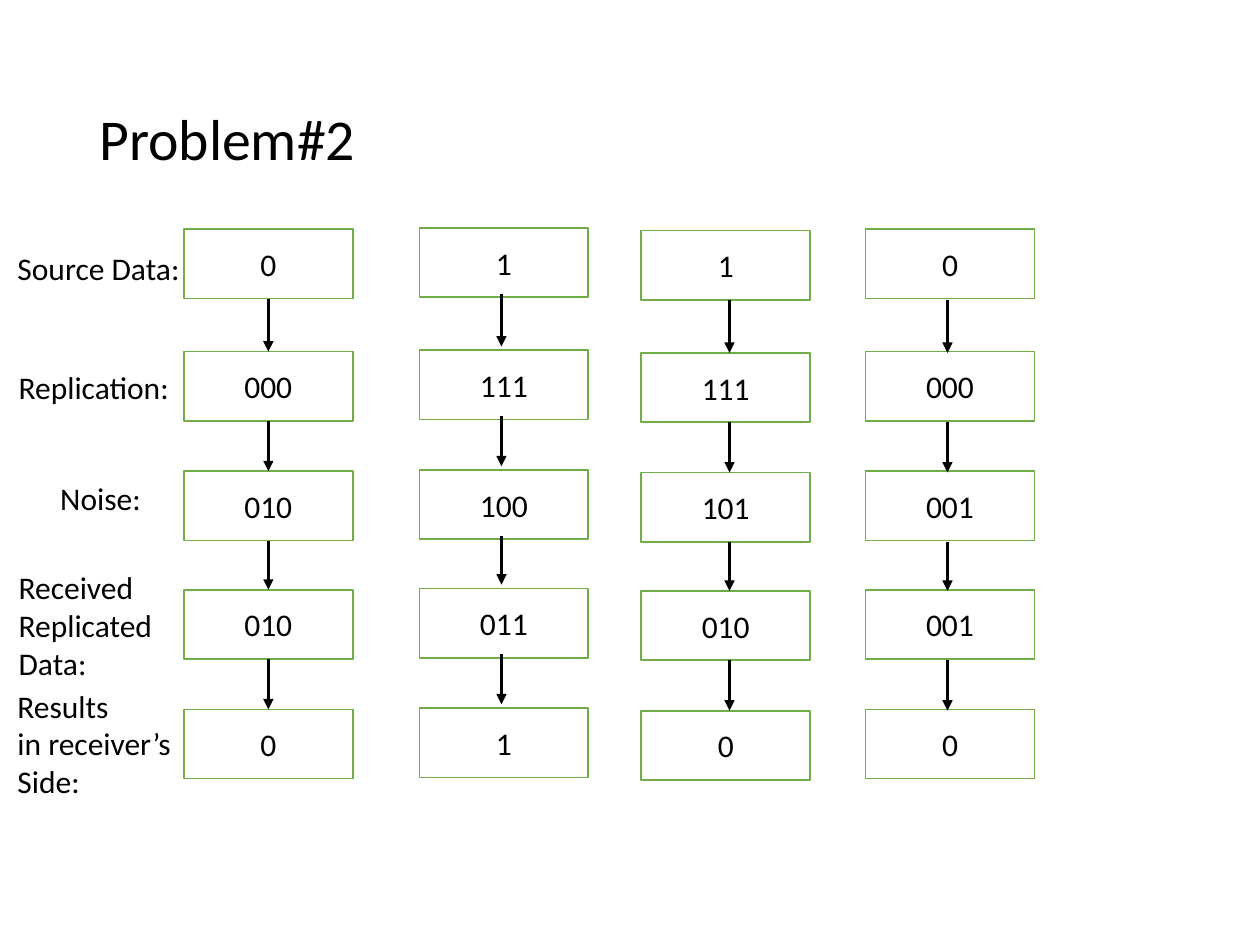
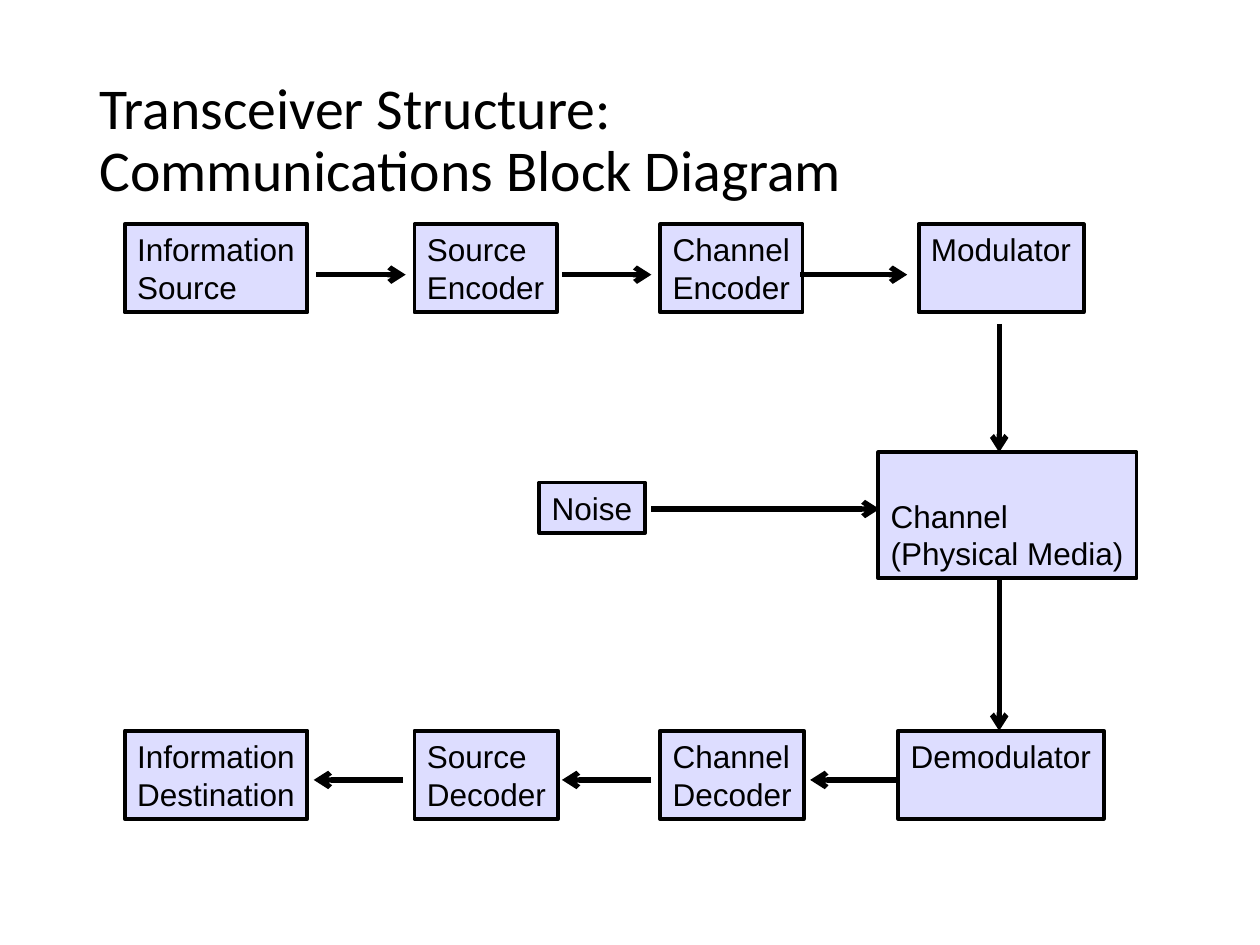
"""Build two slides: a repetition code worked example and a transceiver block diagram."""
from typing import NamedTuple

from lxml import etree
from pptx import Presentation
from pptx.dml.color import RGBColor
from pptx.enum.shapes import MSO_CONNECTOR, MSO_SHAPE
from pptx.enum.text import MSO_ANCHOR, PP_ALIGN
from pptx.oxml.ns import qn
from pptx.util import Inches, Pt

RECT = MSO_SHAPE.RECTANGLE
STRAIGHT = MSO_CONNECTOR.STRAIGHT
TOP, MIDDLE, BOTTOM = MSO_ANCHOR.TOP, MSO_ANCHOR.MIDDLE, MSO_ANCHOR.BOTTOM
LEFT, CENTER = PP_ALIGN.LEFT, PP_ALIGN.CENTER

COLORS = {"text": "000000", "line": "000000", "cell": "FFFFFF",
          "cell_line": "70AD47", "block": "DDDDFF"}
BODY_FONT, BLOCK_FONT = "Calibri", "Arial"

CELL_W, CELL_H = 1.34, 0.55
ROW_OFFSETS = (0, 0.97, 1.92, 2.86, 3.81)
TOP_ROW, BOTTOM_ROW, BLOCK_H = 1.78, 5.8, 0.7
TOP_ARROW, BOTTOM_ARROW = 2.18, 6.19
CHANNEL_X = 7.93


class Label(NamedTuple):
    text: str
    x: float
    y: float
    w: float
    h: float


class BitColumn(NamedTuple):
    x: float
    y: float
    arrow_x: float
    arrow_y: float
    bits: tuple[str, ...]


class Block(NamedTuple):
    text: str
    x: float
    y: float
    w: float
    h: float = BLOCK_H
    anchor: MSO_ANCHOR = TOP


class Arrow(NamedTuple):
    x1: float
    y1: float
    x2: float
    y2: float


STAGES = (
    Label("Source Data:", 0.04, 1.93, 1.49, 0.4),
    Label("Replication:", 0.05, 2.87, 1.4, 0.4),
    Label("Noise:", 0.38, 3.75, 0.84, 0.4),
    Label("Received\nReplicated\nData:", 0.05, 4.46, 1.33, 1),
    Label("Results\nin receiver’s\nSide:", 0.04, 5.4, 1.48, 1),
)
BIT_COLUMNS = (
    BitColumn(1.46, 1.82, 2.13, 1.82, ("0", "000", "010", "010", "0")),
    BitColumn(3.33, 1.81, 3.98, 1.78, ("1", "111", "100", "011", "1")),
    BitColumn(5.09, 1.83, 5.79, 1.83, ("1", "111", "101", "010", "0")),
    BitColumn(6.87, 1.82, 7.52, 1.83, ("0", "000", "001", "001", "0")),
)
BLOCKS = (
    Block("Information\nSource", 0.99, TOP_ROW, 1.45),
    Block("Source\nEncoder", 3.29, TOP_ROW, 1.13),
    Block("Channel\nEncoder", 5.24, TOP_ROW, 1.13),
    Block("Modulator", 7.29, TOP_ROW, 1.31),
    Block("Channel\n(Physical Media)", 6.97, 3.59, 2.05, 1, BOTTOM),
    Block("Noise", 4.28, 3.83, 0.84, 0.4),
    Block("Information\nDestination", 0.99, BOTTOM_ROW, 1.45),
    Block("Source\nDecoder", 3.29, BOTTOM_ROW, 1.14),
    Block("Channel\nDecoder", 5.24, BOTTOM_ROW, 1.14),
    Block("Demodulator", 7.13, BOTTOM_ROW, 1.63),
)
ARROWS = (
    Arrow(2.51, TOP_ARROW, 3.22, TOP_ARROW),
    Arrow(4.46, TOP_ARROW, 5.17, TOP_ARROW),
    Arrow(6.35, TOP_ARROW, 7.2, TOP_ARROW),
    Arrow(CHANNEL_X, 2.57, CHANNEL_X, 3.59),
    Arrow(5.17, 4.04, 6.98, 4.04),
    Arrow(CHANNEL_X, 4.6, CHANNEL_X, BOTTOM_ROW),
    Arrow(7.13, BOTTOM_ARROW, 6.43, BOTTOM_ARROW),
    Arrow(5.17, BOTTOM_ARROW, 4.46, BOTTOM_ARROW),
    Arrow(3.2, BOTTOM_ARROW, 2.49, BOTTOM_ARROW),
)


def rgb(name: str) -> RGBColor:
    return RGBColor.from_string(COLORS[name])


def set_text(sp, text: str, *, font: str = BODY_FONT, size: float = 18, align: PP_ALIGN = LEFT,
             anchor: MSO_ANCHOR = TOP, wrap: bool = False, spacing: float = 1.0) -> None:
    tf = sp.text_frame
    tf.text = text
    tf.word_wrap = wrap
    tf.vertical_anchor = anchor
    for p in tf.paragraphs:
        p.alignment = align
        p.line_spacing = spacing
        for r in p.runs:
            r.font.name = font
            r.font.size = Pt(size)
            r.font.color.rgb = rgb("text")


def add_text(slide, label: Label, **fmt) -> None:
    sp = slide.shapes.add_textbox(*map(Inches, label[1:]))
    set_text(sp, label.text, **fmt)


def add_title(slide, text: str) -> None:
    add_text(slide, Label(text, 0.69, 0.4, 8.63, 1.45),
             size=33, anchor=MIDDLE, wrap=True, spacing=0.9)


def add_box(slide, label: Label, *, fill: str, line: str, width: float, **fmt) -> None:
    sp = slide.shapes.add_shape(RECT, *map(Inches, label[1:]))
    sp.shadow.inherit = False
    sp.fill.solid()
    sp.fill.fore_color.rgb = rgb(fill)
    sp.line.color.rgb = rgb(line)
    sp.line.width = Pt(width)
    set_text(sp, label.text, **fmt)


def add_arrow(slide, arrow: Arrow, *, width: float, head: str) -> None:
    cx = slide.shapes.add_connector(STRAIGHT, *map(Inches, arrow))
    cx.line.color.rgb = rgb("line")
    cx.line.width = Pt(width)
    etree.SubElement(cx.line._get_or_add_ln(), qn("a:tailEnd"), type=head)
    etree.SubElement(cx._element.spPr, qn("a:effectLst"))


def build_problem(slide) -> None:
    add_title(slide, "Problem#2")
    for col in BIT_COLUMNS:
        for bits, offset in zip(col.bits, ROW_OFFSETS):
            add_box(slide, Label(bits, col.x, col.y + offset, CELL_W, CELL_H), fill="cell",
                    line="cell_line", width=1, align=CENTER, anchor=MIDDLE, wrap=True)
        for start, end in zip(ROW_OFFSETS, ROW_OFFSETS[1:]):
            add_arrow(slide, Arrow(col.arrow_x, col.arrow_y + start + CELL_H,
                                   col.arrow_x, col.arrow_y + end), width=1.5, head="triangle")
    for stage in STAGES:
        add_text(slide, stage)


def build_transceiver(slide) -> None:
    add_title(slide, "Transceiver Structure:\vCommunications Block Diagram")
    for block in BLOCKS:
        add_box(slide, Label(*block[:5]), fill="block", line="line", width=2.25,
                font=BLOCK_FONT, anchor=block.anchor)
    for arrow in ARROWS:
        add_arrow(slide, arrow, width=3, head="arrow")


def main() -> None:
    prs = Presentation()
    prs.slide_width, prs.slide_height = Inches(10), Inches(7.5)
    for build in (build_problem, build_transceiver):
        build(prs.slides.add_slide(prs.slide_layouts[6]))
    prs.save("out.pptx")


if __name__ == "__main__":
    main()
